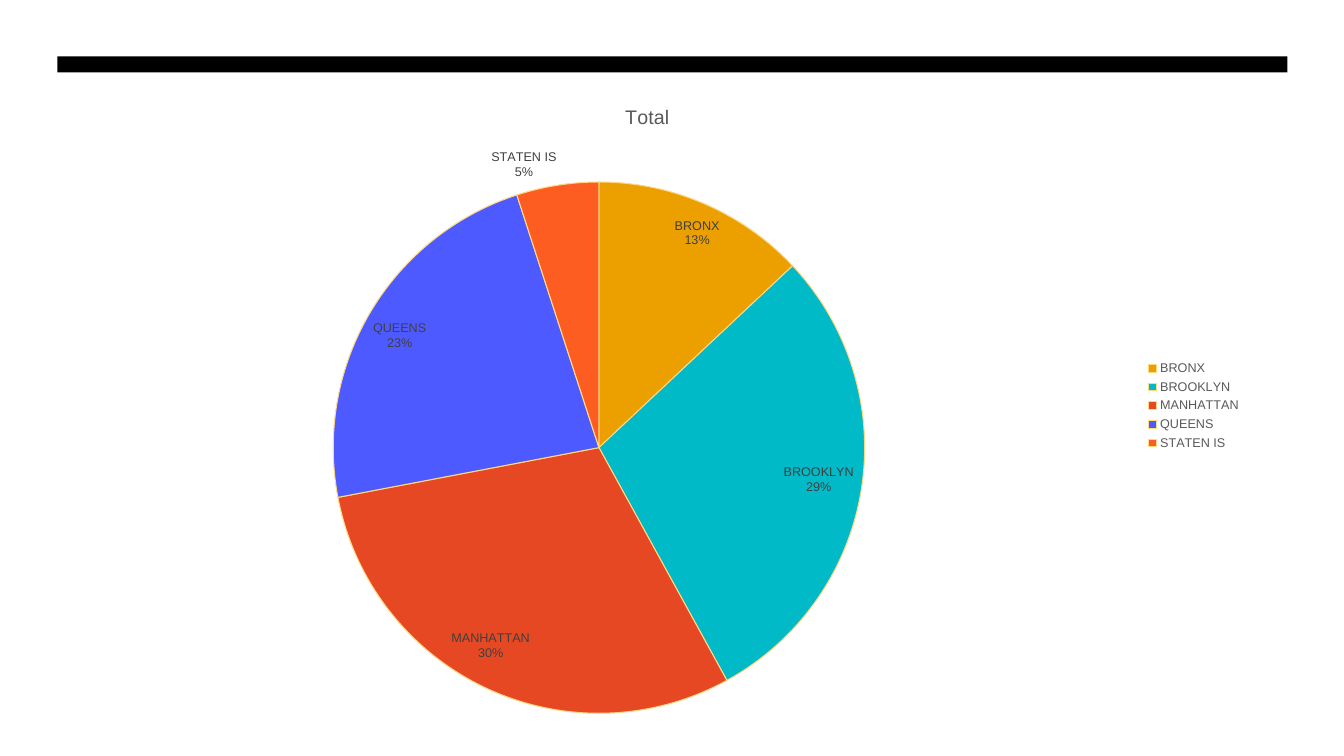
from lxml import etree
from pptx import Presentation
from pptx import util as u
from pptx.chart.data import CategoryChartData
from pptx.dml.color import RGBColor
from pptx.enum import chart as charts, shapes
from pptx.oxml.ns import qn

WIDTH, HEIGHT = u.Inches(13.33), u.Inches(7.5)
FONT = "Arial"
BOROUGHS = [
    ("BRONX", 13, "EBA000"),
    ("BROOKLYN", 29, "00BAC8"),
    ("MANHATTAN", 30, "E64823"),
    ("QUEENS", 23, "4D5AFF"),
    ("STATEN IS", 5, "FE5D21"),
]


def color(value):
    return RGBColor.from_string(value)


def style_font(font, size, value):
    font.name, font.size, font.bold = FONT, u.Pt(size), False
    font.color.rgb = color(value)


def add_bar(page, left, top, width, height, fill):
    bar = page.shapes.add_shape(shapes.MSO_SHAPE.RECTANGLE, left, top, width, height)
    bar.shadow.inherit = False
    bar.fill.solid()
    bar.fill.fore_color.rgb = color(fill)
    bar.line.fill.background()


def place_plot(chart, **shares):
    """Fix the inner plot area, in shares of the chart's size."""
    area = chart.element.find(".//" + qn("c:plotArea"))
    layout = area.find(qn("c:layout"))
    if layout is None:
        layout = etree.Element(qn("c:layout"))
        area.insert(0, layout)
    manual = etree.SubElement(layout, qn("c:manualLayout"))
    settings = {"layoutTarget": "inner", "xMode": "edge", "yMode": "edge", **shares}
    for name, value in settings.items():
        etree.SubElement(manual, qn("c:" + name)).set("val", str(value))


def style_labels(plot):
    plot.has_data_labels = True
    labels = plot.data_labels
    style_font(labels.font, 9, "404040")
    labels.number_format, labels.number_format_is_linked = "0%", False
    labels.show_value = False
    labels.show_category_name = labels.show_percentage = True
    labels.position = charts.XL_LABEL_POSITION.BEST_FIT
    # Put the percentage on its own line
    separator = etree.Element(qn("c:separator"))
    separator.text = "\n"
    labels._element.find(qn("c:showBubbleSize")).addnext(separator)


def add_pie(page, left, top, width, height):
    data = CategoryChartData()
    data.categories = [name for name, _, _ in BOROUGHS]
    data.add_series("Total", [share for _, share, _ in BOROUGHS])
    chart = page.shapes.add_chart(
        charts.XL_CHART_TYPE.PIE, left, top, width, height, data).chart
    style_font(chart.font, 10, "000000")

    # Title and legend
    chart.has_title = True
    title = chart.chart_title.text_frame.paragraphs[0]
    title.text = "Total"
    style_font(title.font, 14, "595959")
    chart.has_legend = True
    chart.legend.position = charts.XL_LEGEND_POSITION.RIGHT
    chart.legend.include_in_layout = False
    style_font(chart.legend.font, 9, "595959")

    # Slices
    plot = chart.plots[0]
    plot.vary_by_categories = True
    for index, (_, _, fill) in enumerate(BOROUGHS):
        slice_format = plot.series[0].points[index].format
        slice_format.fill.solid()
        slice_format.fill.fore_color.rgb = color(fill)
        slice_format.line.color.rgb = color("FFD883")
        slice_format.line.width = u.Pt(0.75)
    style_labels(plot)
    place_plot(chart, x=0.24, y=0.15, w=0.44, h=0.83)


def main():
    deck = Presentation()
    deck.slide_width, deck.slide_height = WIDTH, HEIGHT
    page = deck.slides.add_slide(deck.slide_layouts[6])
    add_bar(page, u.Inches(0.57), u.Inches(0.56), u.Inches(12.2), u.Inches(0.16), "000000")
    add_pie(page, u.Inches(0.43), u.Inches(0.82), u.Inches(11.98), u.Inches(6.41))
    deck.save("out.pptx")


if __name__ == "__main__":
    main()
